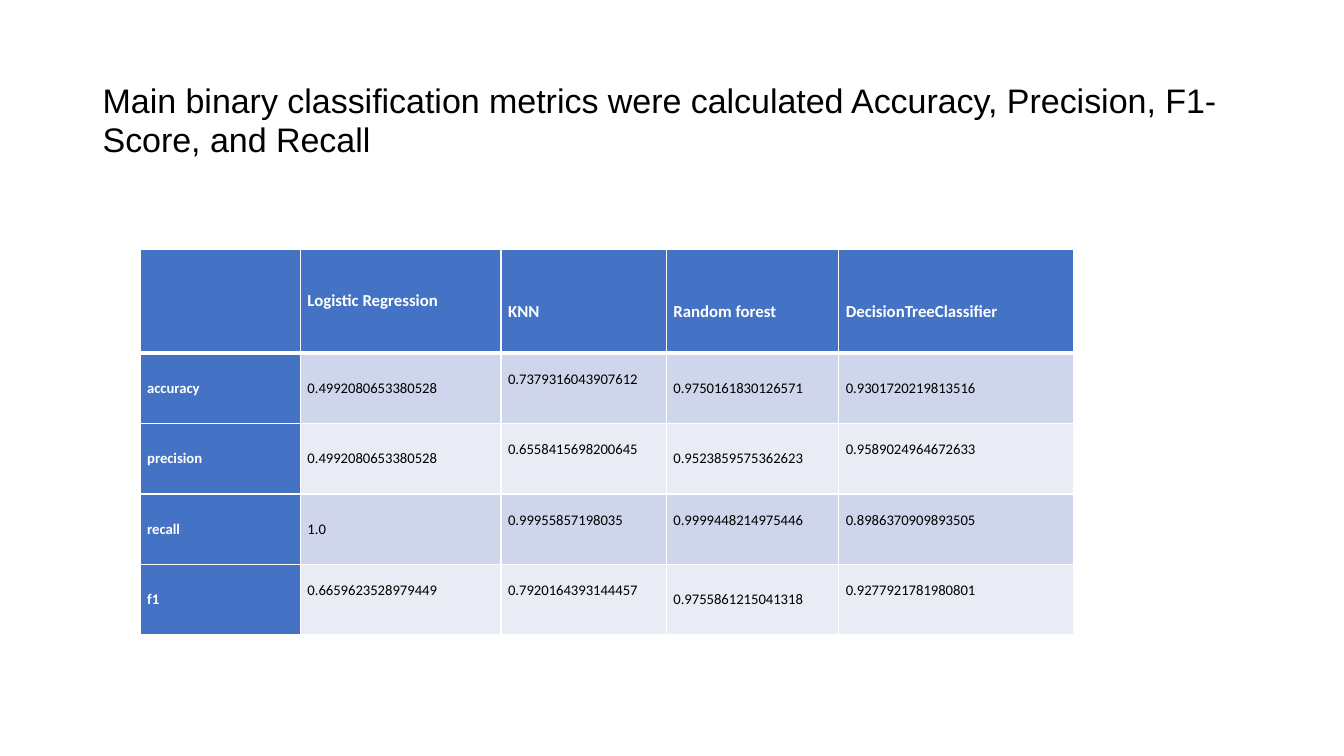
from lxml import etree
from pptx import Presentation
from pptx.dml.color import RGBColor
from pptx.enum.text import MSO_ANCHOR
from pptx.oxml.ns import qn
from pptx.util import Inches, Pt

MIDDLE = MSO_ANCHOR.MIDDLE
BLACK = RGBColor(0x00, 0x00, 0x00)
WHITE = RGBColor(0xFF, 0xFF, 0xFF)
BLUE = RGBColor(0x44, 0x72, 0xC4)
BAND_DARK = RGBColor(0xCF, 0xD5, 0xEA)
BAND_LIGHT = RGBColor(0xE9, 0xEB, 0xF5)

TITLE = ("Main binary classification metrics were calculated "
         "Accuracy, Precision, F1-Score, and Recall")
METRICS = [
    ["", "Logistic Regression", "KNN", "Random forest", "DecisionTreeClassifier"],
    ["accuracy", "0.4992080653380528", "0.7379316043907612",
     "0.9750161830126571", "0.9301720219813516"],
    ["precision", "0.4992080653380528", "0.6558415698200645",
     "0.9523859575362623", "0.9589024964672633"],
    ["recall", "1.0", "0.99955857198035",
     "0.9999448214975446", "0.8986370909893505"],
    ["f1", "0.6659623528979449", "0.7920164393144457",
     "0.9755861215041318", "0.9277921781980801"],
]
COL_WIDTHS = [1.59, 1.99, 1.64, 1.71, 2.33]
ROW_HEIGHTS = [1.03, 0.7, 0.7, 0.7, 0.7]
LOWERED = {(0, 2), (0, 3), (0, 4)}
RAISED = {(1, 2), (2, 2), (2, 4), (3, 2), (3, 3), (3, 4), (4, 1), (4, 2), (4, 4)}


def add_title(s, left, top, width, height):
    """Place the slide title, vertically centred in its box."""
    tf = s.shapes.add_textbox(Inches(left), Inches(top),
                              Inches(width), Inches(height)).text_frame
    tf.word_wrap = True
    tf.vertical_anchor = MIDDLE
    tf.margin_top = Inches(0.21)
    p = tf.paragraphs[0]
    p.text = TITLE
    p.line_spacing = 0.95
    p.font.name = "Arial"
    p.font.size = Pt(24.3)
    p.font.color.rgb = BLACK


def set_borders(cell, top, bottom):
    """Draw white cell borders; top and bottom widths are in points."""
    tcPr = cell._tc.get_or_add_tcPr()
    widths = [("a:lnL", 1), ("a:lnR", 1), ("a:lnT", top), ("a:lnB", bottom)]
    for i, (tag, width) in enumerate(widths):
        ln = etree.Element(qn(tag), w=str(Pt(width)))
        fill = etree.SubElement(ln, qn("a:solidFill"))
        etree.SubElement(fill, qn("a:srgbClr"), val=str(WHITE))
        tcPr.insert(i, ln)


def style_cell(cell, row, col):
    """Fill, frame and format one cell according to its position."""
    heading = row == 0 or col == 0
    cell.fill.solid()
    cell.fill.fore_color.rgb = BLUE if heading else BAND_DARK if row % 2 else BAND_LIGHT
    set_borders(cell, 3 if row == 1 else 1, 3 if row == 0 else 1)
    cell.vertical_anchor = MIDDLE
    cell.margin_left = cell.margin_right = Inches(0.07)
    cell.margin_top = Inches(0.21 if (row, col) in LOWERED else 0)
    cell.margin_bottom = Inches(0.18 if (row, col) in RAISED else 0)
    p = cell.text_frame.paragraphs[0]
    p.font.name = "Calibri"
    p.font.size = Pt(12 if row == 0 else 10.5)
    p.font.bold = heading
    p.font.color.rgb = WHITE if heading else BLACK


def add_metrics_table(s, left, top):
    """Place the table of metrics by classifier."""
    table = s.shapes.add_table(
        len(METRICS), len(COL_WIDTHS), Inches(left), Inches(top),
        Inches(sum(COL_WIDTHS)), Inches(sum(ROW_HEIGHTS))).table
    for column, width in zip(table.columns, COL_WIDTHS):
        column.width = Inches(width)
    for row, height in zip(table.rows, ROW_HEIGHTS):
        row.height = Inches(height)
    for r, values in enumerate(METRICS):
        for c, value in enumerate(values):
            cell = table.cell(r, c)
            cell.text = value
            style_cell(cell, r, c)


def main():
    """Build and save the slide."""
    prs = Presentation()
    prs.slide_width, prs.slide_height = Inches(13.33), Inches(7.5)
    s = prs.slides.add_slide(prs.slide_layouts[6])
    add_title(s, 0.92, 0.4, 11.5, 1.45)
    add_metrics_table(s, 1.39, 2.47)
    prs.save("out.pptx")


if __name__ == "__main__":
    main()
